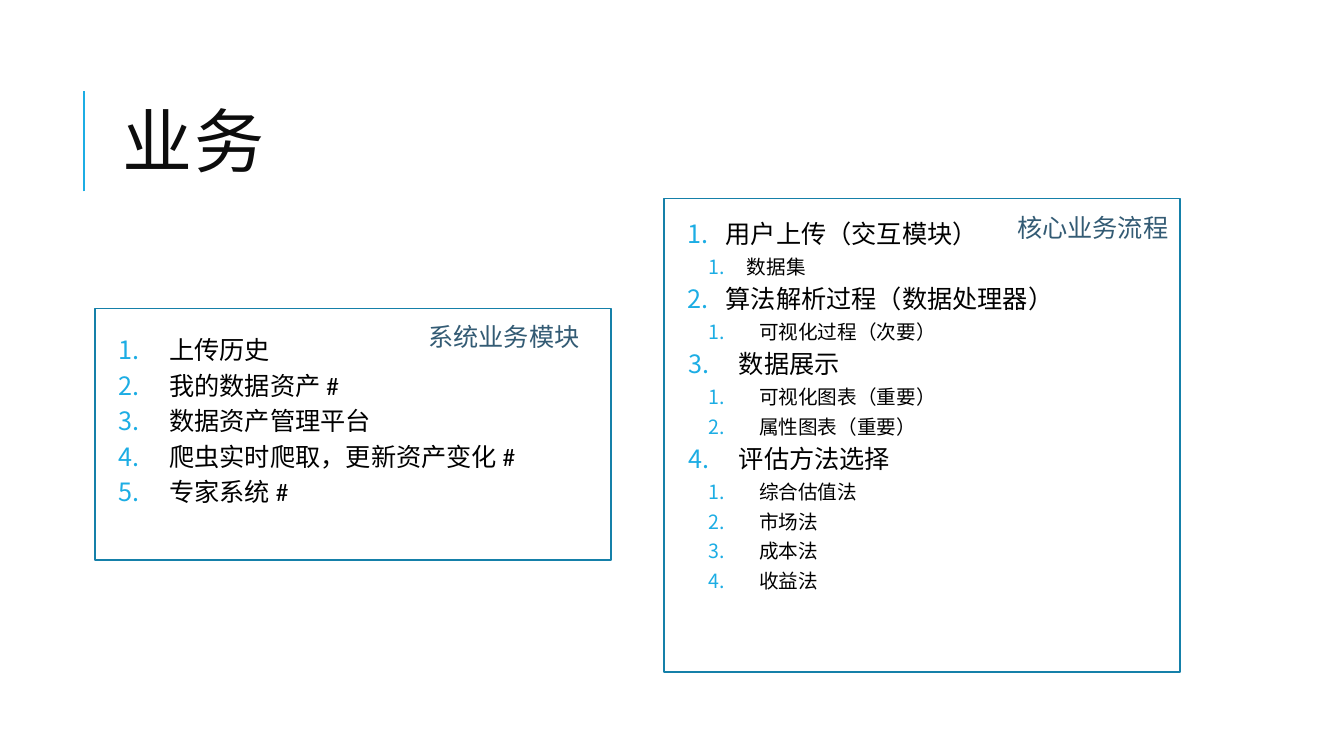
from lxml import etree
from pptx import Presentation, util as u
from pptx.dml.color import RGBColor
from pptx.enum import shapes, text
from pptx.oxml import ns

ACCENT = RGBColor(0x1C, 0xAD, 0xE4)
BORDER = RGBColor(0x15, 0x80, 0xA9)
LABEL = RGBColor(0x33, 0x5B, 0x74)
TITLE = RGBColor(0x0D, 0x0D, 0x0D)
BLACK = RGBColor(0, 0, 0)
WHITE = RGBColor(0xFF, 0xFF, 0xFF)
FONT = "Calibri"

deck = Presentation()
deck.slide_width, deck.slide_height = u.Inches(13.33), u.Inches(7.5)
slide = deck.slides.add_slide(deck.slide_layouts[5])
slide.background.fill.solid()
slide.background.fill.fore_color.rgb = WHITE


def place(*shares):
    """Turn percentages of slide width and height, in turn, into lengths."""
    sides = (deck.slide_width, deck.slide_height) * 2
    return [u.Emu(round(share * side / 100)) for share, side in zip(shares, sides)]


def style(paragraph, size, color):
    """Format every run of a paragraph."""
    for run in paragraph.runs:
        run.font.name = FONT
        run.font.size = u.Pt(size)
        run.font.color.rgb = color


# Title with its accent rule
heading = slide.shapes.title
heading.left, heading.top, heading.width, heading.height = place(8.4, 8.53, 79.74, 21.87)
heading.text_frame.text = "业务"
heading.text_frame.vertical_anchor = text.MSO_ANCHOR.MIDDLE
heading_line = heading.text_frame.paragraphs[0]
heading_line.alignment = text.PP_ALIGN.LEFT
heading_line.line_spacing = 0.8
style(heading_line, 50, TITLE)
heading_line.runs[0].font._element.set("spc", "100")

rule = slide.shapes.add_connector(shapes.MSO_CONNECTOR.STRAIGHT, *place(6.25, 25.33, 6.25, 12))
rule.line.color.rgb = ACCENT
rule.line.width = u.Pt(1.5)
etree.SubElement(rule._element.spPr, ns.qn("a:effectLst"))

# Each item: level, text indent in inches, hanging number in inches, wording
process = [
    (0, 0.56, 0.38, "用户上传（交互模块）"),
    (1, 0.77, 0.38, "数据集"),
    (0, 0.56, 0.38, "算法解析过程（数据处理器）"),
    (1, 0.89, 0.5, "可视化过程（次要）"),
    (0, 0.69, 0.5, "数据展示"),
    (1, 0.89, 0.5, "可视化图表（重要）"),
    (1, 0.89, 0.5, "属性图表（重要）"),
    (0, 0.69, 0.5, "评估方法选择"),
    (1, 0.89, 0.5, "综合估值法"),
    (1, 0.89, 0.5, "市场法"),
    (1, 0.89, 0.5, "成本法"),
    (1, 0.89, 0.5, "收益法"),
]
modules = [(0, 0.69, 0.5, wording) for wording in (
    "上传历史", "我的数据资产 #", "数据资产管理平台", "爬虫实时爬取，更新资产变化 #", "专家系统 #")]

# Each panel: left, top, height, list top, list height, label left, label top
panels = [
    (49.42, 26.27, 62.67, 28.67, 89.07, 74.94, 27.47, "核心业务流程", process),
    (7.05, 40.8, 33.33, 44, 34.8, 31.13, 41.87, "系统业务模块", modules),
]
for left, top, height, list_top, list_height, label_left, label_top, name, items in panels:
    steps = slide.shapes.add_textbox(*place(left, list_top, 45.84, list_height)).text_frame
    steps.word_wrap = True
    steps.margin_left = steps.margin_right = u.Inches(0.05)
    steps.margin_top = steps.margin_bottom = u.Inches(0.05)
    steps.text = "\n".join(item[-1] for item in items)
    for step, (level, indent, hanging, _) in zip(steps.paragraphs, items):
        step.level = level
        step.line_spacing = 0.9
        step.space_before, step.space_after = u.Pt(2), u.Pt(4)
        style(step, 14 if level else 18, BLACK)
        props = step._p.get_or_add_pPr()
        props.set("marL", str(u.Inches(indent)))
        props.set("indent", str(-u.Inches(hanging)))
        number_color = etree.SubElement(props, ns.qn("a:buClr"))
        etree.SubElement(number_color, ns.qn("a:srgbClr"), val=str(ACCENT))
        etree.SubElement(props, ns.qn("a:buFont"), typeface=FONT)
        etree.SubElement(props, ns.qn("a:buAutoNum"), type="arabicPeriod")

    frame = slide.shapes.add_shape(shapes.MSO_SHAPE.RECTANGLE, *place(left, top, 38.4, height))
    frame.shadow.inherit = False
    frame.fill.background()
    frame.line.color.rgb = BORDER
    frame.line.width = u.Pt(1.25)

    label = slide.shapes.add_textbox(*place(label_left, label_top, 12.9, 5.33)).text_frame
    label.word_wrap = False
    label.auto_size = text.MSO_AUTO_SIZE.SHAPE_TO_FIT_TEXT
    label.text = name
    style(label.paragraphs[0], 18, LABEL)

deck.save("out.pptx")
